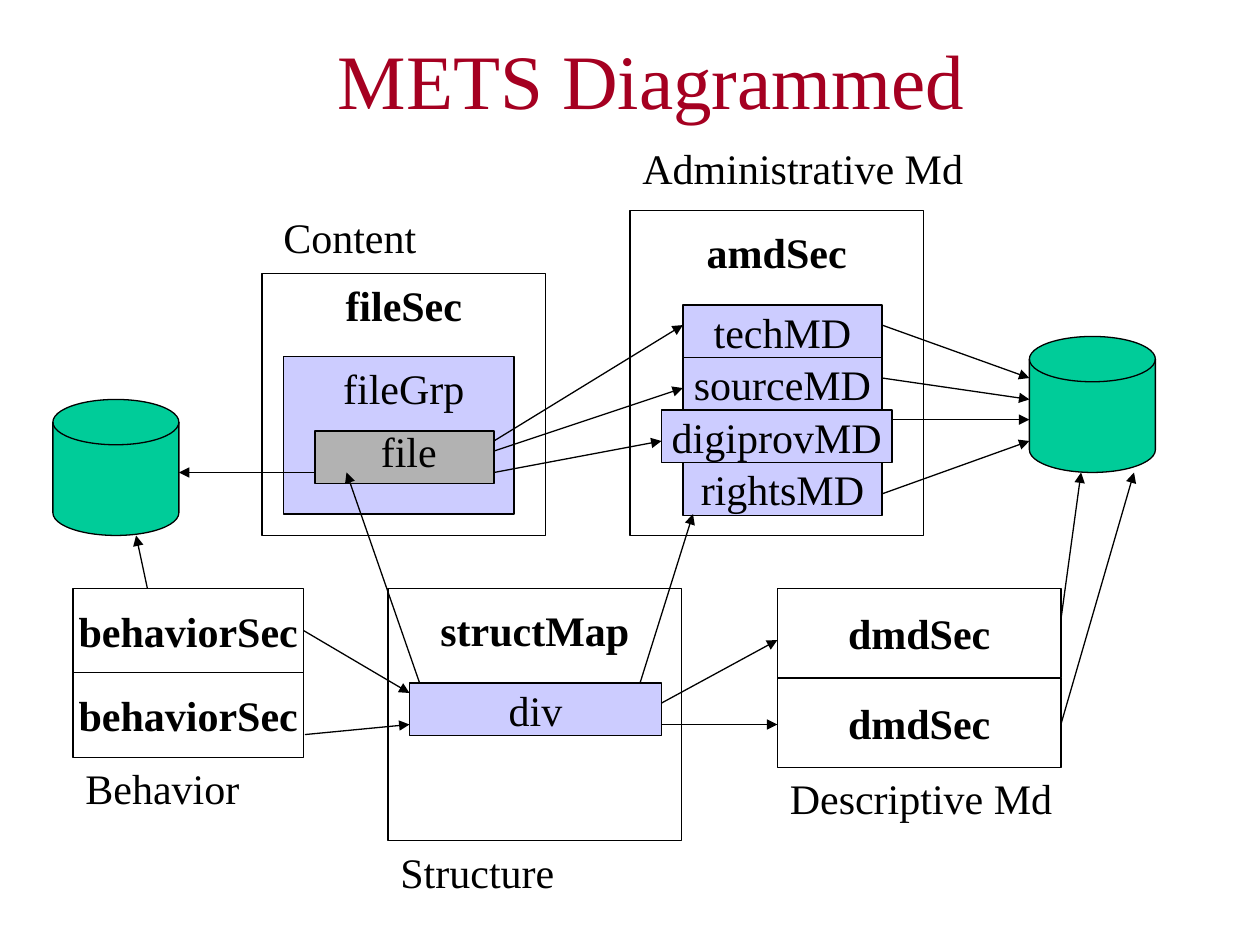
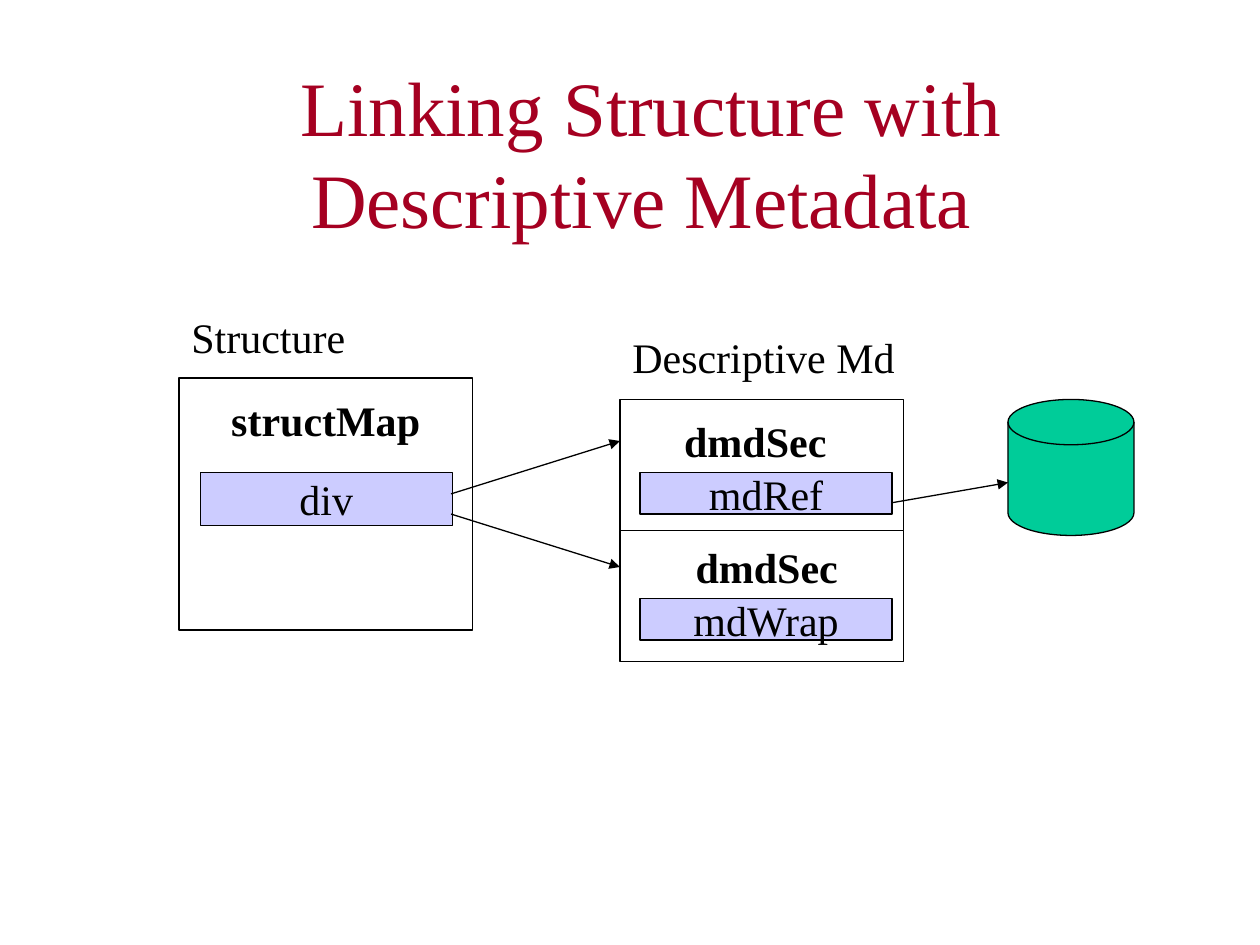
from dataclasses import dataclass

from lxml import etree
from pptx import Presentation
from pptx.dml.color import RGBColor
from pptx.enum.shapes import MSO_CONNECTOR, MSO_SHAPE
from pptx.enum.text import MSO_ANCHOR, PP_ALIGN
from pptx.oxml.ns import qn
from pptx.shapes.autoshape import Shape
from pptx.slide import Slide
from pptx.util import Inches, Pt

STRAIGHT = MSO_CONNECTOR.STRAIGHT
RECTANGLE = MSO_SHAPE.RECTANGLE
DISK = MSO_SHAPE.FLOWCHART_MAGNETIC_DISK
TOP, MIDDLE = MSO_ANCHOR.TOP, MSO_ANCHOR.MIDDLE
LEFT, CENTER = PP_ALIGN.LEFT, PP_ALIGN.CENTER

BLACK = RGBColor(0x00, 0x00, 0x00)
WHITE = RGBColor(0xFF, 0xFF, 0xFF)
CRIMSON = RGBColor(0xA5, 0x00, 0x21)
LAVENDER = RGBColor(0xCC, 0xCC, 0xFF)
GRAY = RGBColor(0xB2, 0xB2, 0xB2)
GREEN = RGBColor(0x00, 0xCC, 0x99)

FONT_NAME = "Times New Roman"
LINE_WIDTH = Pt(0.75)
GLUE_TOLERANCE = 0.012


@dataclass(frozen=True)
class Box:
    left: float
    top: float
    width: float
    height: float
    fill: RGBColor = WHITE
    text: str = ""
    bold: bool = False

    def side_middles(self) -> list[tuple[float, float]]:
        middle_x, middle_y = self.left + self.width / 2, self.top + self.height / 2
        return [
            (middle_x, self.top),
            (self.left, middle_y),
            (middle_x, self.top + self.height),
            (self.left + self.width, middle_y),
        ]


@dataclass(frozen=True)
class Label:
    text: str
    left: float
    top: float
    width: float
    centered: bool = False
    bold: bool = False


@dataclass(frozen=True)
class Arrow:
    start: tuple[float, float]
    end: tuple[float, float]


@dataclass(frozen=True)
class Diagram:
    title: str
    title_top: float
    items: list[Box | Label]
    disks: list[tuple[float, float]]
    arrows: list[Arrow]


def write_text(shape: Shape, text: str, align: PP_ALIGN, anchor: MSO_ANCHOR, wrap: bool,
               size: int = 24, bold: bool = False, color: RGBColor = BLACK) -> None:
    frame = shape.text_frame
    frame.word_wrap = wrap
    frame.vertical_anchor = anchor
    paragraph = frame.paragraphs[0]
    paragraph.text = text
    paragraph.alignment = align
    font_format = {"name": FONT_NAME, "size": Pt(size), "bold": bold}
    for attribute, value in font_format.items():
        setattr(paragraph.font, attribute, value)
    paragraph.font.color.rgb = color


def draw_box(slide: Slide, box: Box, preset: MSO_SHAPE = RECTANGLE) -> Shape:
    shape = slide.shapes.add_shape(
        preset, Inches(box.left), Inches(box.top), Inches(box.width), Inches(box.height))
    shape.shadow.inherit = False
    shape.fill.solid()
    shape.fill.fore_color.rgb = box.fill
    shape.line.color.rgb = BLACK
    shape.line.width = LINE_WIDTH
    if box.text:
        write_text(shape, box.text, CENTER, MIDDLE, False, bold=box.bold)
    return shape


def draw_label(slide: Slide, label: Label) -> None:
    shape = slide.shapes.add_textbox(
        Inches(label.left), Inches(label.top), Inches(label.width), Inches(0.5))
    align = CENTER if label.centered else LEFT
    write_text(shape, label.text, align, TOP, label.centered, bold=label.bold)


def draw_title(slide: Slide, text: str, top: float) -> None:
    shape = slide.shapes.add_textbox(Inches(0.92), Inches(top), Inches(8.5), Inches(1.25))
    write_text(shape, text, CENTER, MIDDLE, True, size=44, color=CRIMSON)


def draw_arrow(slide: Slide, arrow: Arrow, boxes: list[tuple[Box, Shape]]) -> None:
    (start_x, start_y), (end_x, end_y) = arrow.start, arrow.end
    connector = slide.shapes.add_connector(
        STRAIGHT, Inches(start_x), Inches(start_y), Inches(end_x), Inches(end_y))
    connector.line.color.rgb = BLACK
    connector.line.width = LINE_WIDTH
    line = connector.line._get_or_add_ln()
    etree.SubElement(line, qn("a:tailEnd"), type="triangle")
    etree.SubElement(connector._element.spPr, qn("a:effectLst"))
    for (x, y), connect in ((arrow.start, connector.begin_connect),
                            (arrow.end, connector.end_connect)):
        for box, shape in boxes:
            for site, (side_x, side_y) in enumerate(box.side_middles()):
                if max(abs(side_x - x), abs(side_y - y)) < GLUE_TOLERANCE:
                    connect(shape, site)


def draw_diagram(presentation: Presentation, diagram: Diagram) -> None:
    slide = presentation.slides.add_slide(presentation.slide_layouts[6])
    draw_title(slide, diagram.title, diagram.title_top)
    boxes = []
    for item in diagram.items:
        if isinstance(item, Box):
            boxes.append((item, draw_box(slide, item)))
        else:
            draw_label(slide, item)
    for left, top in diagram.disks:
        draw_box(slide, Box(left, top, 1, 1.08, GREEN), DISK)
    for arrow in diagram.arrows:
        draw_arrow(slide, arrow, boxes)


def heading(text: str, left: float, top: float, width: float) -> Label:
    return Label(text, left, top, width, centered=True, bold=True)


def structure_map(left: float, top: float) -> list[Box | Label]:
    return [
        Box(left, top, 2.33, 2),
        heading("structMap", left + 0.08, top + 0.08, 2.17),
        Box(left + 0.17, top + 0.75, 2, 0.42, LAVENDER, "div"),
    ]


def stacked_pair(text: str, left: float, top: float, width: float, height: float) -> list[Box]:
    return [Box(left, top + row * height, width, height, text=text, bold=True)
            for row in range(2)]


def metadata_rows() -> list[Box]:
    rows = [("techMD", 5.42, 1.58), ("sourceMD", 5.42, 1.58),
            ("digiprovMD", 5.25, 1.83), ("rightsMD", 5.42, 1.58)]
    return [Box(left, 2.42 + row * 1.25 / 3, width, 0.42, LAVENDER, text)
            for row, (text, left, width) in enumerate(rows)]


OVERVIEW = Diagram(
    title="METS Diagrammed",
    title_top=0,
    items=[
        *structure_map(3.08, 4.67),
        Box(2.08, 2.17, 2.25, 2.08),
        heading("fileSec", 2.08, 2.17, 2.25),
        Box(2.25, 2.83, 1.83, 1.25, LAVENDER),
        Label("fileGrp", 2.33, 2.83, 1.75, centered=True),
        Box(2.5, 3.42, 1.42, 0.42, GRAY),
        Label("file", 2.58, 3.33, 1.33, centered=True),
        Box(5, 1.67, 2.33, 2.58),
        heading("amdSec", 5.08, 1.75, 2.17),
        *metadata_rows(),
        *stacked_pair("dmdSec", 6.17, 4.67, 2.25, 0.71),
        *stacked_pair("behaviorSec", 0.58, 4.67, 1.83, 0.67),
        Label("Content", 2.15, 1.63, 1.35),
        Label("Administrative Md", 5, 1.08, 2.85),
        Label("Structure", 3.08, 6.67, 1.5),
        Label("Descriptive Md", 6.17, 6.08, 2.35),
        Label("Behavior", 0.58, 6, 1.5),
    ],
    disks=[(0.42, 3.17), (8.17, 2.67)],
    arrows=[
        Arrow((3.33, 5.42), (2.75, 3.75)),
        Arrow((2.5, 3.75), (1.42, 3.75)),
        Arrow((3.92, 3.5), (5.42, 2.58)),
        Arrow((3.92, 3.58), (5.42, 3.08)),
        Arrow((3.92, 3.75), (5.25, 3.5)),
        Arrow((5.08, 5.42), (5.5, 4.08)),
        Arrow((5.25, 5.58), (6.17, 5.08)),
        Arrow((5.25, 5.75), (6.17, 5.75)),
        Arrow((8.42, 5.75), (9, 3.75)),
        Arrow((8.42, 4.92), (8.58, 3.75)),
        Arrow((7, 3.92), (8.17, 3.5)),
        Arrow((7.08, 3.33), (8.17, 3.33)),
        Arrow((7, 3), (8.17, 3.17)),
        Arrow((7, 2.58), (8.17, 3)),
        Arrow((2.42, 5), (3.25, 5.5)),
        Arrow((2.42, 5.83), (3.25, 5.75)),
        Arrow((1.17, 4.67), (1.08, 4.25)),
    ],
)

LINKING = Diagram(
    title="Linking Structure with Descriptive Metadata ",
    title_top=0.58,
    items=[
        *structure_map(1.42, 3),
        *stacked_pair("", 4.92, 3.17, 2.25, 1.04),
        heading("dmdSec", 5.08, 3.25, 1.83),
        Box(5.08, 3.75, 2, 0.33, LAVENDER, "mdRef"),
        heading("dmdSec", 5.17, 4.25, 1.83),
        Box(5.08, 4.75, 2, 0.33, LAVENDER, "mdWrap"),
        Label("Structure", 1.42, 2.42, 1.5),
        Label("Descriptive Md", 4.92, 2.58, 2.35),
    ],
    disks=[(8, 3.17)],
    arrows=[
        Arrow((3.58, 3.92), (4.92, 3.5)),
        Arrow((3.58, 4.08), (4.92, 4.5)),
        Arrow((7.08, 3.99), (8, 3.83)),
    ],
)


def main() -> None:
    presentation = Presentation()
    presentation.slide_width = Inches(10)
    presentation.slide_height = Inches(7.5)
    for diagram in (OVERVIEW, LINKING):
        draw_diagram(presentation, diagram)
    presentation.save("out.pptx")


if __name__ == "__main__":
    main()
